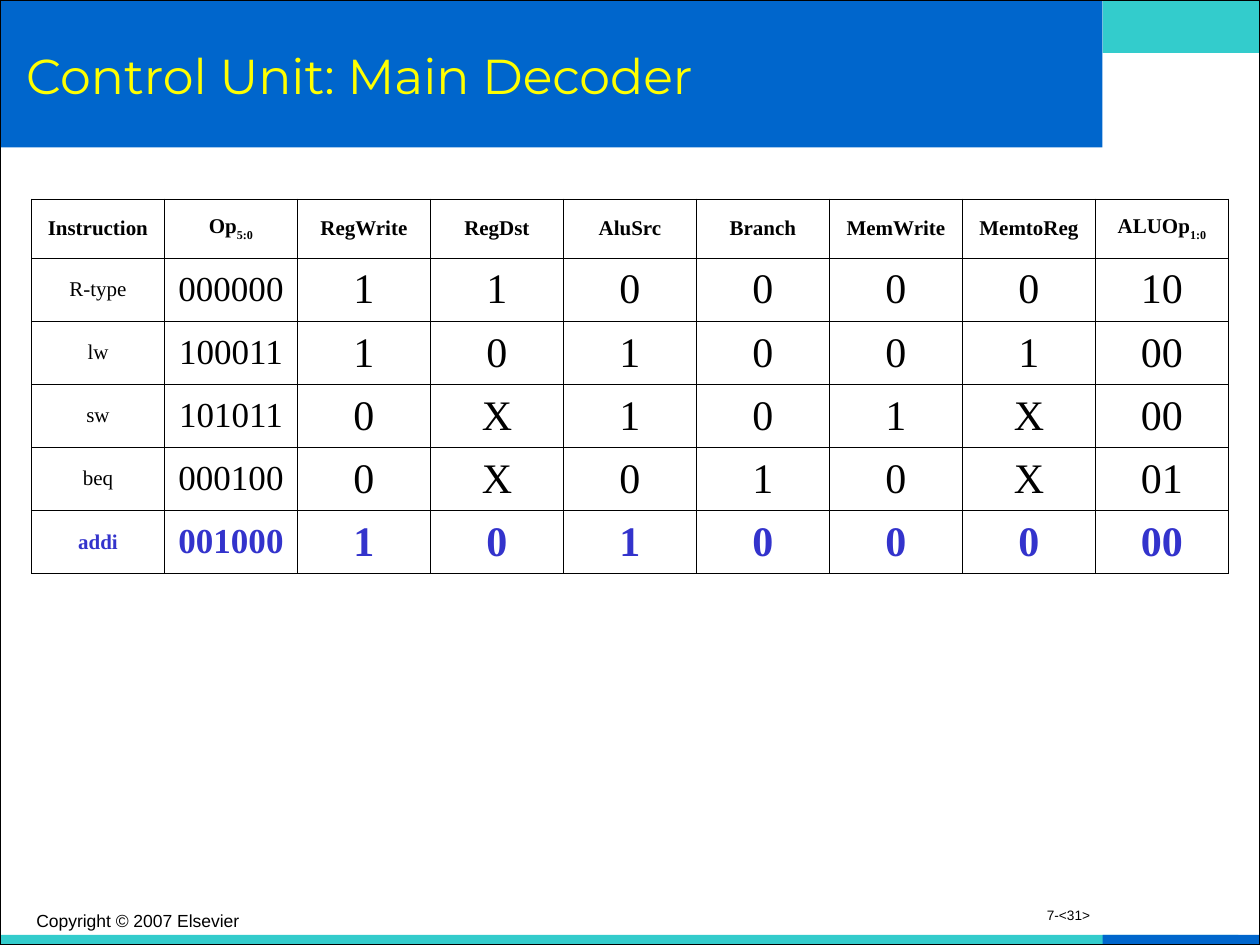
"""Build the main decoder control table slide."""
from lxml import etree
from pptx import Presentation
from pptx import util as u
from pptx.dml.color import RGBColor
from pptx.enum import shapes, text
from pptx.oxml.ns import qn

HUES = {"teal": "33CCCC", "blue": "0066CC", "title": "FFFF00",
        "ink": "000000", "mark": "3333CC"}
BARS = [
    ("teal", 8.75, 0, 1.25, 0.42),
    ("teal", 0, 7.42, 9.83, 0.08),
    ("blue", 8.75, 7.42, 1.25, 0.08),
    ("blue", 0, 0, 8.75, 1.17),
]
HEAD = ["Instruction", ("Op", "5:0"), "RegWrite", "RegDst", "AluSrc",
        "Branch", "MemWrite", "MemtoReg", ("ALUOp", "1:0")]
ROWS = [
    "R-type 000000 1 1 0 0 0 0 10",
    "lw 100011 1 0 1 0 0 1 00",
    "sw 101011 0 X 1 0 1 X 00",
    "beq 000100 0 X 0 1 0 X 01",
    "addi 001000 1 0 1 0 0 0 00",
]
SIZES = [12, 20] + [24] * 7
ALIGN = text.PP_ALIGN
MID = text.MSO_ANCHOR.MIDDLE


def color(name):
    return RGBColor.from_string(HUES[name])


def style(para, face, size, hue, bold=False, align=ALIGN.LEFT):
    para.alignment = align
    font = para.font
    font.name, font.size, font.bold = face, u.Pt(size), bold
    font.color.rgb = color(hue)


def rect(slide, box):
    shape = slide.shapes.add_shape(shapes.MSO_SHAPE.RECTANGLE, *map(u.Inches, box))
    shape.shadow.inherit = False
    return shape


def label(slide, box, words, *look, anchor=text.MSO_ANCHOR.TOP, **more):
    frame = slide.shapes.add_textbox(*map(u.Inches, box)).text_frame
    frame.word_wrap = True
    frame.vertical_anchor = anchor
    para = frame.paragraphs[0]
    para.text = words
    style(para, *look, **more)
    return para


def border(cell):
    props = cell._tc.get_or_add_tcPr()
    for spot, side in enumerate(("lnL", "lnR", "lnT", "lnB")):
        line = etree.Element(qn("a:" + side), w=str(u.Pt(0.45)))
        fill = etree.SubElement(line, qn("a:solidFill"))
        etree.SubElement(fill, qn("a:srgbClr"), val=HUES["ink"])
        props.insert(spot, line)


def write(cell, item, size, hue, bold):
    cell.fill.background()
    border(cell)
    cell.vertical_anchor = MID
    para = cell.text_frame.paragraphs[0]
    word, sub = item if isinstance(item, tuple) else (item, "")
    para.add_run().text = word
    if sub:
        run = para.add_run()
        run.text = sub
        run._r.get_or_add_rPr().set("baseline", "-30000")
    style(para, "Times New Roman", size, hue, bold, ALIGN.CENTER)


def grid(slide):
    data = [HEAD] + [row.split() for row in ROWS]
    box = map(u.Inches, (0.25, 1.58, 9.5, 2.97))
    table = slide.shapes.add_table(len(data), len(HEAD), *box).table
    table.first_row = table.horz_banding = False
    last = len(data) - 1
    for r, row in enumerate(data):
        table.rows[r].height = u.Inches(0.5 if r else 0.47)
        for c, item in enumerate(row):
            write(table.cell(r, c), item, SIZES[c] if r else 12,
                  "mark" if r == last else "ink", r in (0, last))


def main():
    deck = Presentation()
    deck.slide_width, deck.slide_height = u.Inches(10), u.Inches(7.5)
    slide = deck.slides.add_slide(deck.slide_layouts[6])
    for hue, *box in BARS:
        bar = rect(slide, box)
        bar.fill.solid()
        bar.fill.fore_color.rgb = color(hue)
        bar.line.fill.background()
    edge = rect(slide, (0, 0, 10, 7.5))
    edge.fill.background()
    edge.line.color.rgb = color("ink")
    edge.line.width = u.Pt(0.75)
    label(slide, (0.11, 0.11, 8.5, 0.97), "Control Unit: Main Decoder",
          "Montserrat", 28, "title", anchor=MID)
    grid(slide)
    label(slide, (0.19, 7.17, 3.17, 0.25), "Copyright © 2007 Elsevier",
          "Arial", 10, "ink")
    page = label(slide, (6.67, 7.17, 2.08, 0.25), "7-<31>",
                 "Arial", 7.8, "ink", align=ALIGN.RIGHT)
    page.line_spacing = 0.8
    deck.save("out.pptx")


if __name__ == "__main__":
    main()
